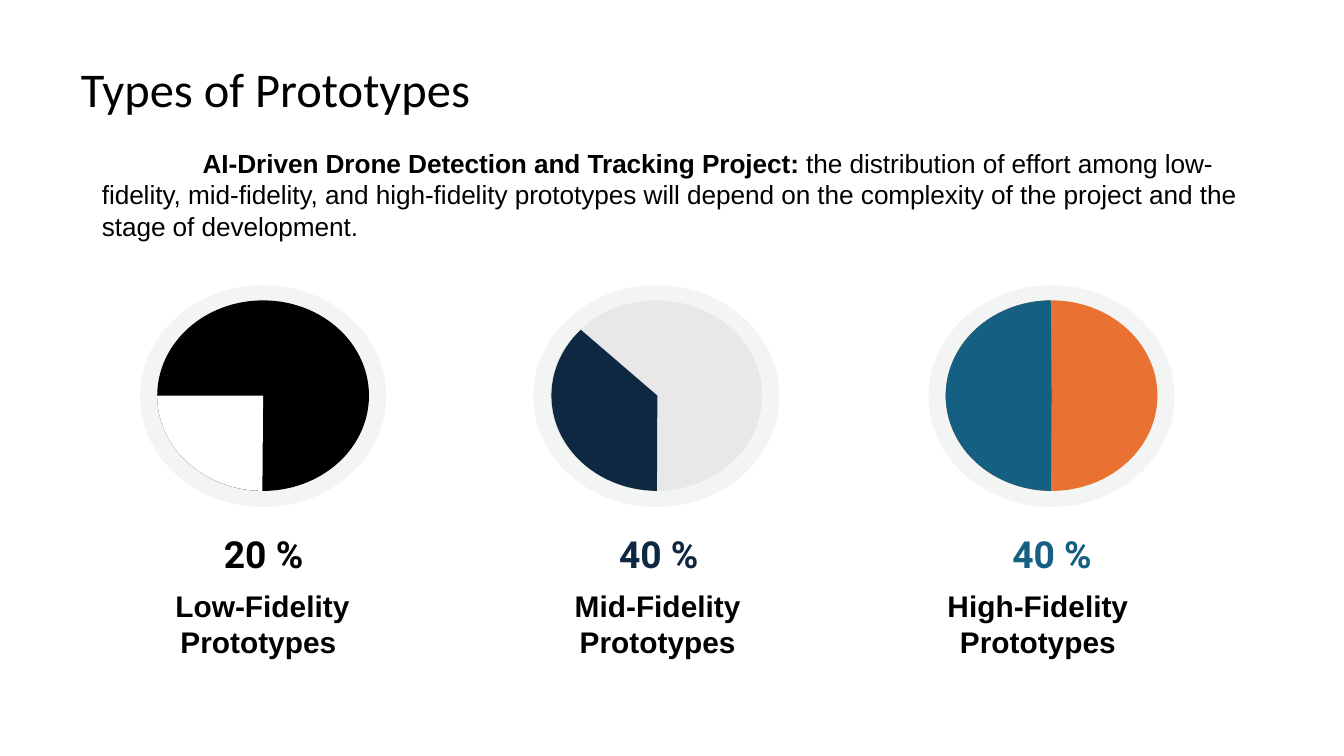
from dataclasses import dataclass

from lxml import etree
from pptx import Presentation
from pptx.dml.color import RGBColor
from pptx.enum.shapes import MSO_SHAPE
from pptx.enum.text import MSO_ANCHOR, PP_ALIGN
from pptx.oxml.ns import qn
from pptx.util import Inches, Pt

OVAL, PIE = MSO_SHAPE.OVAL, MSO_SHAPE.PIE
CENTER, LEFT = PP_ALIGN.CENTER, PP_ALIGN.LEFT
TOP, MIDDLE = MSO_ANCHOR.TOP, MSO_ANCHOR.MIDDLE
BLANK_LAYOUT = 6
BLACK, RING_GREY = "000000", "E3E5E5"
RING_OPACITY = 40
TAB_WIDTH = Inches(1)


@dataclass(frozen=True)
class Span:
    text: str
    size: float
    font: str
    color: str = BLACK
    bold: bool = False


@dataclass(frozen=True)
class Prototype:
    share: str
    label: str
    disc_color: str
    accent: str
    ring_left: float
    wedge_inset: float
    start_angle: float
    end_angle: float
    share_left: float
    label_left: float
    text_width: float


PROTOTYPES = [
    Prototype("20 %", "Low-Fidelity Prototypes ", BLACK, "FFFFFF",
              1.39, 0.17, 90.41, 180, 0.94, 0.93, 3.35),
    Prototype("40 %", "Mid-Fidelity Prototypes", "E8E8E8", "0E2841",
              5.29, 0.18, 90.25, 220.73, 4.87, 4.86, 3.33),
    Prototype("40 %", "High-Fidelity Prototypes", "E97132", "156082",
              9.21, 0.17, 90.41, 269.52, 8.76, 8.62, 3.35),
]


def rgb(value: str) -> RGBColor:
    return RGBColor.from_string(value)


def add_text(shapes, left: float, top: float, width: float, height: float,
             spans: list[Span], align=CENTER, anchor=TOP, inset: float = 0.13):
    box = shapes.add_textbox(Inches(left), Inches(top), Inches(width), Inches(height))
    frame = box.text_frame
    frame.word_wrap = True
    frame.vertical_anchor = anchor
    frame.margin_left = frame.margin_right = Inches(0.13)
    frame.margin_top = frame.margin_bottom = Inches(inset)
    para = frame.paragraphs[0]
    para.alignment = align
    for span in spans:
        run = para.add_run()
        run.text = span.text
        run.font.size = Pt(span.size)
        run.font.name = span.font
        run.font.bold = span.bold
        run.font.color.rgb = rgb(span.color)
    return para


def add_tab_stop(para, position: int) -> None:
    stops = etree.SubElement(para._p.get_or_add_pPr(), qn("a:tabLst"))
    stop = etree.SubElement(stops, qn("a:tab"))
    stop.set("pos", str(position))
    stop.set("algn", "l")


def add_round(shapes, kind, left: float, top: float, width: float, height: float,
              color: str):
    shape = shapes.add_shape(kind, Inches(left), Inches(top), Inches(width), Inches(height))
    shape.shadow.inherit = False
    shape.fill.solid()
    shape.fill.fore_color.rgb = rgb(color)
    shape.line.fill.background()
    return shape


def set_opacity(shape, percent: int) -> None:
    color = shape.fill._xPr.find(qn("a:solidFill")).find(qn("a:srgbClr"))
    etree.SubElement(color, qn("a:alpha")).set("val", str(percent * 1000))


def add_prototype(page, item: Prototype) -> None:
    shapes = page.shapes.add_group_shape().shapes

    # Pale ring, disc and wedge
    ring = add_round(shapes, OVAL, item.ring_left, 2.83, 2.44, 2.2, RING_GREY)
    set_opacity(ring, RING_OPACITY)
    add_round(shapes, OVAL, item.ring_left + 0.17, 2.98, 2.1, 1.89, item.disc_color)
    wedge = add_round(shapes, PIE, item.ring_left + item.wedge_inset, 2.98, 2.1, 1.89,
                      item.accent)
    # Angles are in 60000ths of a degree, adjustments in units of 100000
    for index, angle in enumerate((item.start_angle, item.end_angle)):
        wedge.adjustments[index] = angle * 0.6

    # Share and label; the white wedge takes its disc's colour for text
    share_color = item.disc_color if item.accent == "FFFFFF" else item.accent
    add_text(shapes, item.share_left, 5.28, item.text_width, 0.42,
             [Span(item.share, 26.67, "Roboto", share_color, True)], anchor=MIDDLE)
    add_text(shapes, item.label_left, 5.7, item.text_width, 0.71,
             [Span(item.label, 21.33, "Arial", bold=True)])


def main() -> None:
    deck = Presentation()
    deck.slide_width, deck.slide_height = Inches(13.33), Inches(7.5)
    page = deck.slides.add_slide(deck.slide_layouts[BLANK_LAYOUT])

    # Title
    add_text(page.shapes, 0.11, 0.46, 5.36, 0.94,
             [Span("Types of Prototypes ", 34.67, "Calibri")])

    # Three prototype kinds
    for item in PROTOTYPES:
        add_prototype(page, item)

    # Introduction
    introduction = add_text(page.shapes, 0.88, 1.39, 11.6, 1.08, [
        Span("\tAI-Driven Drone Detection and Tracking Project:", 18.67, "Arial", bold=True),
        Span(" the distribution of effort among low-fidelity, mid-fidelity, and "
             "high-fidelity prototypes will depend on the complexity of the project "
             "and the stage of development.", 18.67, "Arial"),
    ], align=LEFT, inset=0.07)
    add_tab_stop(introduction, TAB_WIDTH)

    deck.save("out.pptx")


if __name__ == "__main__":
    main()
